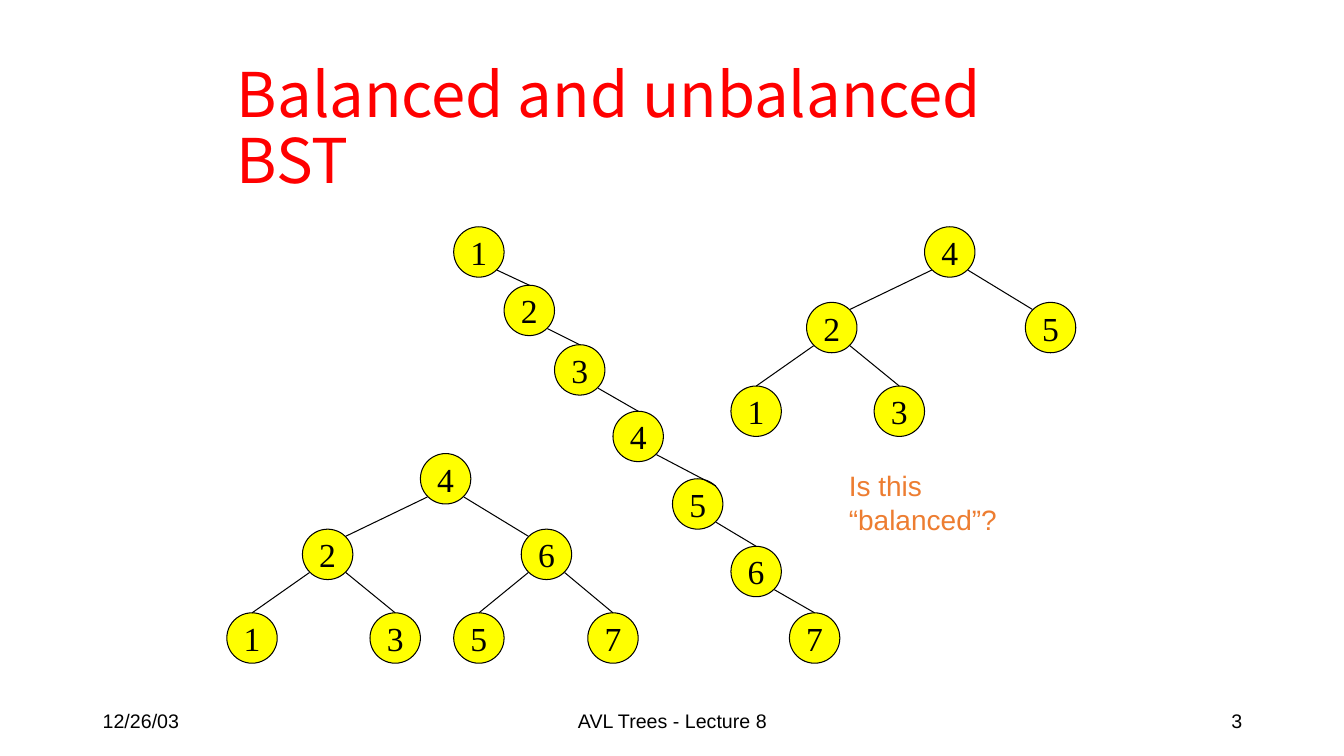
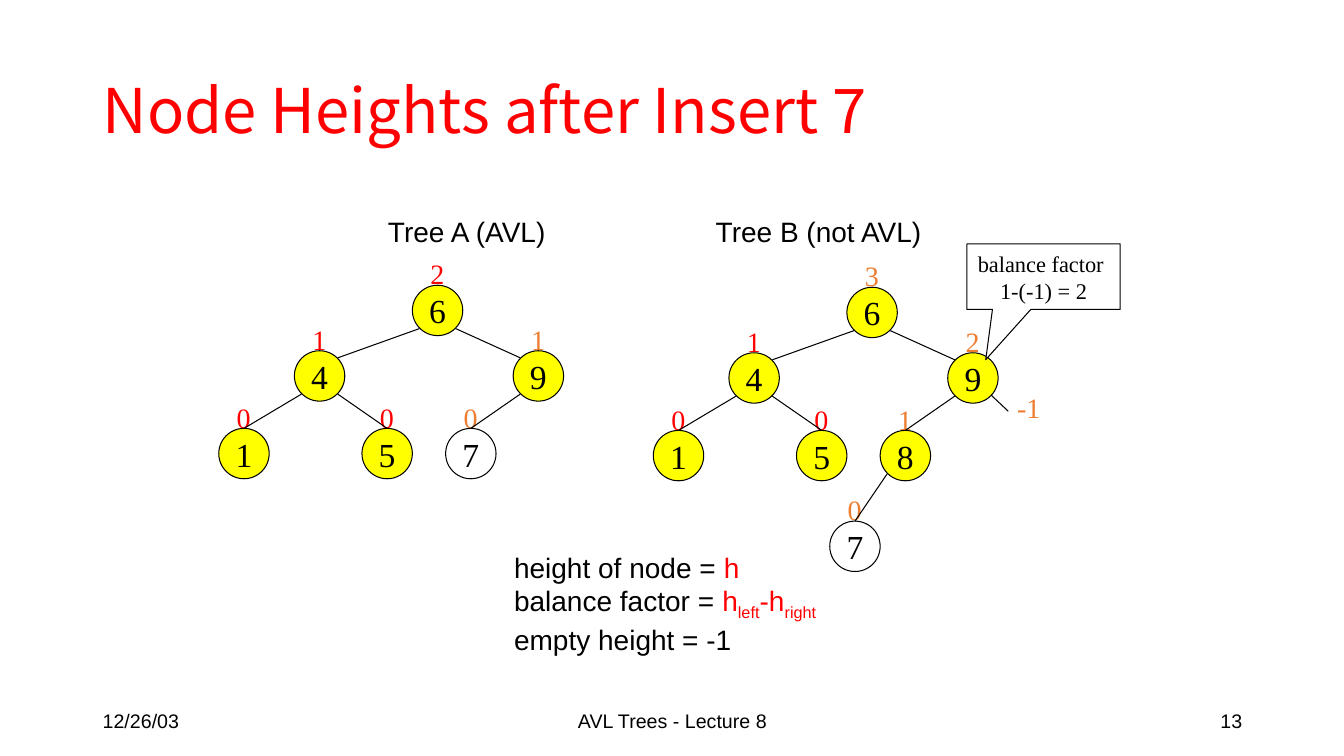
import dataclasses

import pptx
import pptx.dml.color
import pptx.enum.shapes
import pptx.enum.text
import pptx.oxml
import pptx.util

Inches = pptx.util.Inches
Align = pptx.enum.text.PP_ALIGN
Anchor = pptx.enum.text.MSO_ANCHOR
Preset = pptx.enum.shapes.MSO_SHAPE

BLACK, WHITE = "000000", "FFFFFF"
RED, ORANGE, YELLOW = "FF0000", "ED7D31", "FFFF00"
SANS, SERIF, TITLE_FONT = "Arial", "Times New Roman", "Noto Sans CJK KR"

NODE_SIZE = 0.5
CORNER = 0.18
WIDE_REACH = 0.9
BRANCH_COLUMNS = {"": 1.92, "L": 0.75, "R": 2.92, "LL": 0, "LR": 1.42,
                  "RL": 2.25, "RR": 3.58, "RLL": 1.75}
CHAIN_COLUMNS = {"R" * depth: column for depth, column
                 in enumerate((0, 0.5, 1, 1.58, 2.17, 2.75, 3.33))}
CHAIN_ROWS = (0, 0.58, 1.17, 1.83, 2.5, 3.17, 3.83)
BALANCE_ROWS = (0, 0.75, 1.58)
HEIGHT_ROWS = (0, 0.65, 1.42, 2.32)


@dataclasses.dataclass
class Node:
    key: str
    height: str = ""
    height_color: str = RED
    fill: str = YELLOW


def rgb(color):
    return pptx.dml.color.RGBColor.from_string(color)


def box_lengths(box):
    return [Inches(length) for length in box]


def style_para(para, size, font, color=BLACK, align=Align.LEFT):
    para.alignment = align
    para.font.size = pptx.util.Pt(size)
    para.font.name = font
    para.font.color.rgb = rgb(color)


def add_text(page, box, text, size=20, font=SANS, color=BLACK,
             align=Align.LEFT, anchor=Anchor.TOP, wrap=True):
    frame = page.shapes.add_textbox(*box_lengths(box)).text_frame
    frame.word_wrap = wrap
    frame.vertical_anchor = anchor
    frame.text = text
    for para in frame.paragraphs:
        style_para(para, size, font, color, align)
    return frame


def add_outlined(page, preset, box, text, size, fill):
    shape = page.shapes.add_shape(preset, *box_lengths(box))
    shape.shadow.inherit = False
    if fill:
        shape.fill.solid()
        shape.fill.fore_color.rgb = rgb(fill)
    else:
        shape.fill.background()
    shape.line.color.rgb = rgb(BLACK)
    shape.line.width = pptx.util.Pt(0.75)
    frame = shape.text_frame
    frame.word_wrap = False
    frame.vertical_anchor = Anchor.MIDDLE
    frame.text = text
    for para in frame.paragraphs:
        style_para(para, size, SERIF, align=Align.CENTER)
    return shape


def add_line(page, start, end):
    line = page.shapes.add_connector(
        pptx.enum.shapes.MSO_CONNECTOR.STRAIGHT, *box_lengths(start + end))
    line.line.color.rgb = rgb(BLACK)
    line.line.width = pptx.util.Pt(0.75)
    line._element.spPr.append(pptx.oxml.parse_xml(
        '<a:effectLst xmlns:a="http://schemas.openxmlformats.org/drawingml/2006/main"/>'))


def add_page(deck, title, title_box, number):
    page = deck.slides.add_slide(deck.slide_layouts[5])
    holder = page.shapes.title
    holder.left, holder.top, holder.width, holder.height = box_lengths(title_box)
    frame = holder.text_frame
    frame.text = title
    frame.word_wrap = True
    frame.auto_size = pptx.enum.text.MSO_AUTO_SIZE.NONE
    frame.vertical_anchor = Anchor.MIDDLE
    style_para(frame.paragraphs[0], 44, TITLE_FONT, RED)
    frame.paragraphs[0].line_spacing = 0.9
    for left, width, text, align in (
            (0.92, 3, "12/26/03", Align.LEFT),
            (4.42, 4.5, "AVL Trees - Lecture 8", Align.CENTER),
            (9.42, 3, number, Align.RIGHT)):
        add_text(page, (left, 6.95, width, 0.4), text, 14,
                 align=align, anchor=Anchor.MIDDLE)
    return page


def add_edge(page, parent, child, side, landing):
    middle = NODE_SIZE / 2
    if landing is None:
        wide = abs(child[0] - parent[0]) > WIDE_REACH
        landing = -side * CORNER if wide else 0
    start = (parent[0] + middle + side * CORNER, parent[1] + middle + CORNER)
    drop = middle - CORNER if landing else 0
    add_line(page, start, (child[0] + middle + landing, child[1] + drop))


def add_tree(page, left, top, columns, rows, nodes, landings=None):
    landings = landings or {}
    places = {route: (left + columns[route], top + rows[len(route)])
              for route in nodes}
    for route, node in nodes.items():
        if node.height:
            x, y = places[route]
            add_text(page, (x + 0.08, y - 0.33, 0.34, 0.43), node.height,
                     font=SERIF, color=node.height_color, wrap=False)
    for route, node in nodes.items():
        add_outlined(page, Preset.OVAL, places[route] + (NODE_SIZE, NODE_SIZE),
                     node.key, 24, node.fill)
    for route in nodes:
        if route:
            side = -1 if route[-1] == "L" else 1
            add_edge(page, places[route[:-1]], places[route], side,
                     landings.get(route))


def add_legend(page, box):
    frame = add_text(page, box, "\n\n")
    lines = (
        (("height of node = ", BLACK, False), ("h", RED, False)),
        (("balance factor = ", BLACK, False), ("h", RED, False),
         ("left", RED, True), ("-h", RED, False), ("right", RED, True)),
        (("empty height = -1", BLACK, False),),
    )
    for para, spans in zip(frame.paragraphs, lines):
        for text, color, subscript in spans:
            span = para.add_run()
            span.text = text
            span.font.color.rgb = rgb(color)
            if subscript:
                span._r.get_or_add_rPr().set("baseline", "-25000")


def add_callout(page, box):
    callout = add_outlined(page, Preset.RECTANGULAR_CALLOUT, box,
                           "balance factor \n1-(-1) = 2", 16, WHITE)
    callout.adjustments[0] = -0.377
    callout.adjustments[1] = 1.266


def build_balance_page(deck):
    page = add_page(deck, "Balanced and unbalanced BST",
                    (2.25, 0.67, 8.8, 1.25), "3")
    small = {"": "4", "L": "2", "R": "5", "LL": "1", "LR": "3"}
    full = small | {"R": "6", "RL": "5", "RR": "7"}
    chain = {route: str(len(route) + 1) for route in CHAIN_COLUMNS}
    for left, top, columns, rows, keys, landings in (
            (7.25, 2.25, BRANCH_COLUMNS, BALANCE_ROWS, small, None),
            (4.5, 2.25, CHAIN_COLUMNS, CHAIN_ROWS, chain, {"RRRR": CORNER}),
            (2.25, 4.5, BRANCH_COLUMNS, BALANCE_ROWS, full, None)):
        nodes = {route: Node(key) for route, key in keys.items()}
        add_tree(page, left, top, columns, rows, nodes, landings)
    add_text(page, (8.32, 4.6, 2, 0.76), "Is this “balanced”?", color=ORANGE)


def build_height_page(deck):
    page = add_page(deck, "Node Heights after Insert 7",
                    (0.92, 0.4, 11.5, 1.45), "13")
    left_half = {"L": Node("4", "1"), "LL": Node("1", "0"), "LR": Node("5", "0")}
    inserted = Node("7", "0", ORANGE, "")
    tree_a = left_half | {"": Node("6", "2"), "R": Node("9", "1", ORANGE),
                          "RL": inserted}
    tree_b = left_half | {"": Node("6", "3", ORANGE), "R": Node("9", "2", ORANGE),
                          "RL": Node("8", "1", ORANGE), "RLL": inserted}
    add_tree(page, 6.48, 2.85, BRANCH_COLUMNS, HEIGHT_ROWS, tree_b)
    add_tree(page, 2.17, 2.83, BRANCH_COLUMNS, HEIGHT_ROWS, tree_a)
    add_legend(page, (5, 5.41, 3.3, 1.11))
    add_callout(page, (9.59, 2.42, 1.52, 0.65))
    add_line(page, (9.83, 3.92), (10, 4.08))
    add_text(page, (9.99, 3.83, 0.43, 0.43), "-1", font=SERIF,
             color=ORANGE, wrap=False)
    add_text(page, (3.75, 2.08, 1.83, 0.43), "Tree A (AVL)")
    add_text(page, (7, 2.08, 2.5, 0.43), "Tree B (not AVL)")


def main():
    deck = pptx.Presentation()
    deck.slide_width = Inches(13.33)
    deck.slide_height = Inches(7.5)
    build_balance_page(deck)
    build_height_page(deck)
    deck.save("out.pptx")


if __name__ == "__main__":
    main()
